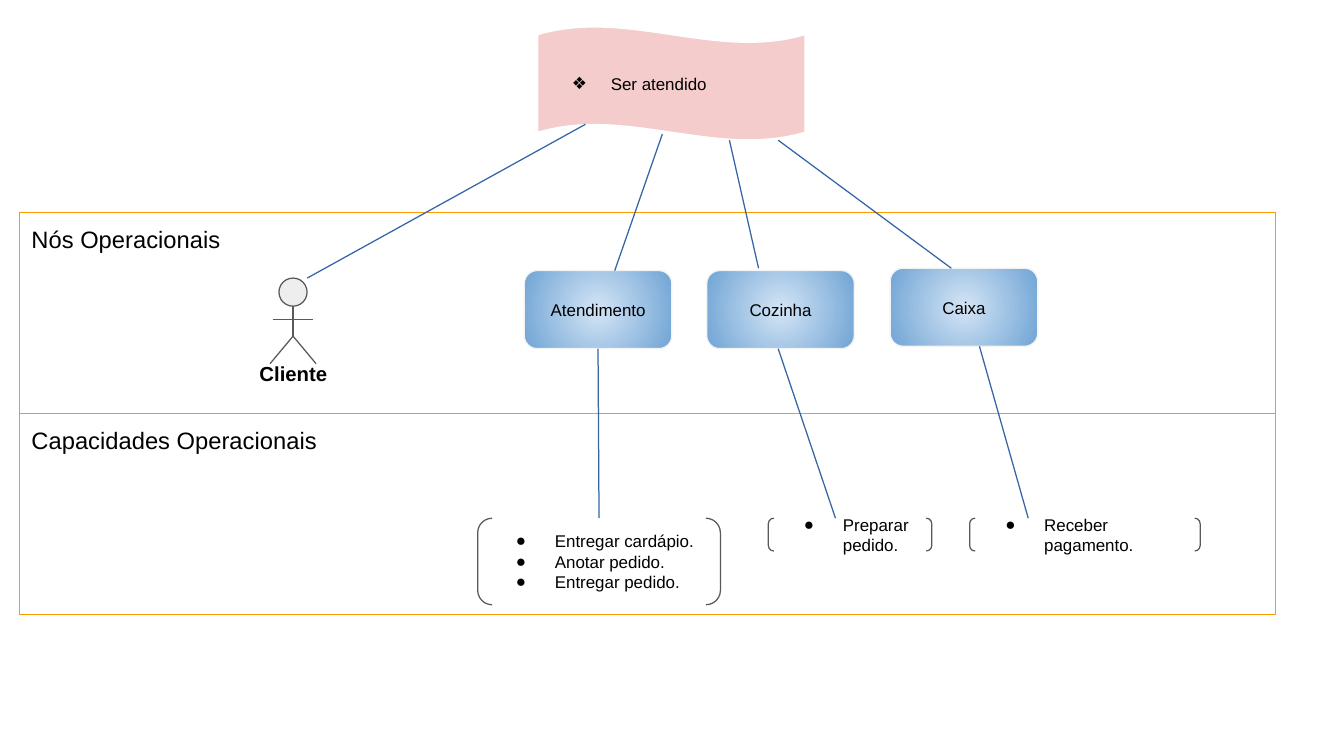
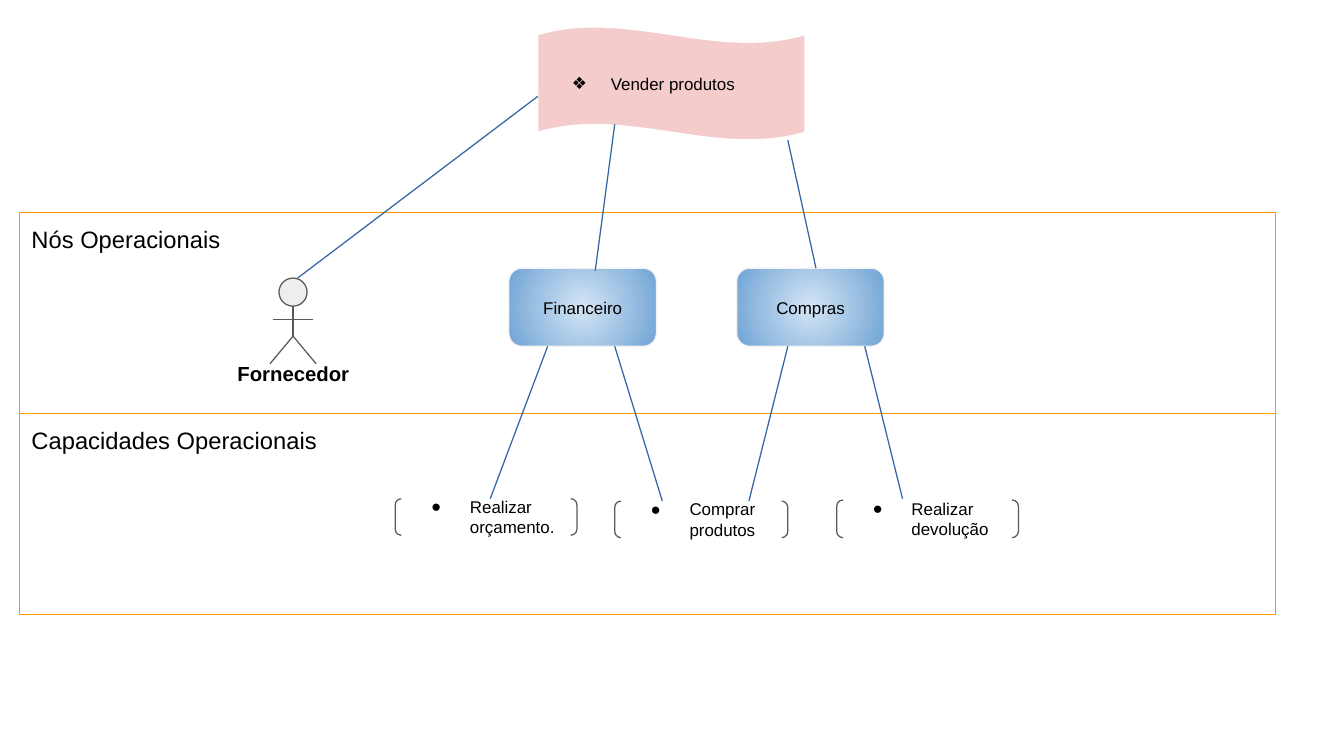
"""Build two operational diagrams linking goals, operational nodes and capabilities."""
from dataclasses import dataclass
from typing import Any, Optional

from lxml.etree import SubElement
from pptx import Presentation
from pptx.dml.color import RGBColor
from pptx.enum.shapes import MSO_CONNECTOR, MSO_SHAPE
from pptx.enum.text import MSO_ANCHOR, PP_ALIGN
from pptx.oxml.ns import qn
from pptx.util import Pt

COLORS = {
    "text": "000000",
    "band": "FF9900",
    "goal": "F4CCCC",
    "goal_line": "FFFFFF",
    "head": "EEEEEE",
    "outline": "595959",
    "node_center": "D4E5F5",
    "node_edge": "70A4D5",
    "node_line": "F3F3F3",
    "link": "3465A4",
}
FONT = "Arial"
SLIDE_WIDTH, SLIDE_HEIGHT = 793.4, 446.4
MARGIN = 7.2
LINE_WIDTH = 0.75
BULLET_LEFT, BULLET_HANG = 36, 23
BAND_LEFT, BAND_TOP, BAND_WIDTH, BAND_HEIGHT = 11.5, 125.3, 741.5, 118.7
BAND_LABELS = ("Nós Operacionais", "Capacidades Operacionais")
NODE_WIDTH, NODE_HEIGHT = 87.1, 46.1
ACTOR_CENTER, ACTOR_TOP, HEAD_SIZE = 173, 164.2, 16.6
CORNER = 0.167
TOP_SITE, BOTTOM_SITE = 0, 2

Point = tuple[float, float]


@dataclass(frozen=True)
class Box:
    left: float
    top: float
    width: float
    height: float


@dataclass(frozen=True)
class Node:
    label: str
    left: float
    top: float = 158.4


@dataclass(frozen=True)
class Capability:
    items: tuple[str, ...]
    box: Box


@dataclass(frozen=True)
class Link:
    start: Point
    end: Point


@dataclass(frozen=True)
class Join:
    node: str
    capability: str


@dataclass(frozen=True)
class Diagram:
    goal: str
    actor: str
    nodes: tuple[Node, ...]
    capabilities: tuple[Capability, ...]
    links: tuple[Link, ...]
    joins: tuple[Join, ...] = ()


DIAGRAMS = (
    Diagram(
        goal="Ser atendido",
        actor="Cliente",
        nodes=(
            Node("Atendimento", 309.5, 159.8),
            Node("Cozinha", 417.2, 159.8),
            Node("Caixa", 525.5),
        ),
        capabilities=(
            Capability(
                ("Entregar cardápio.", "Anotar pedido.", "Entregar pedido."),
                Box(282, 306, 143.3, 51.1),
            ),
            Capability(("Preparar pedido.",), Box(453.6, 306, 96.5, 19.4)),
            Capability(("Receber pagamento.",), Box(572.4, 306, 136.1, 19.4)),
        ),
        links=(
            Link((345.6, 73.4), (181.4, 164.2)),
            Link((391, 79.2), (362.9, 159.8)),
            Link((430.6, 82.8), (447.8, 158.4)),
            Link((459.4, 82.8), (561.6, 158.4)),
            Link((459.4, 205.9), (493.2, 306)),
            Link((578.2, 204.5), (607, 306)),
        ),
        joins=(Join("Atendimento", "Entregar cardápio."),),
    ),
    Diagram(
        goal="Vender produtos",
        actor="Fornecedor",
        nodes=(Node("Financeiro", 300.4), Node("Compras", 434.9)),
        capabilities=(
            Capability(("Realizar orçamento.",), Box(233.3, 294.5, 107.3, 21.6)),
            Capability(("Comprar produtos",), Box(362.9, 295.9, 102.2, 21.6)),
            Capability(("Realizar devolução",), Box(493.9, 295.2, 107.3, 22.3)),
        ),
        links=(
            Link((317.5, 56.9), (175.7, 164.2)),
            Link((362.9, 73.4), (351.4, 159.8)),
            Link((465.1, 82.8), (481.7, 158.4)),
            Link((323.3, 204.5), (289.4, 294.5)),
            Link((362.9, 204.5), (391, 295.9)),
            Link((465.1, 204.5), (442.1, 295.9)),
            Link((510.5, 204.5), (532.8, 294.5)),
        ),
    ),
)


def color(name: str) -> RGBColor:
    return RGBColor.from_string(COLORS[name])


def add_bullet(paragraph: Any, symbol: str) -> None:
    properties = paragraph._p.get_or_add_pPr()
    properties.set("marL", str(Pt(BULLET_LEFT)))
    properties.set("indent", str(-Pt(BULLET_HANG)))
    bullet_color = SubElement(properties, qn("a:buClr"))
    SubElement(bullet_color, qn("a:srgbClr"), val=COLORS["text"])
    SubElement(properties, qn("a:buFont"), typeface=FONT)
    SubElement(properties, qn("a:buChar"), char=symbol)


def write_text(
    shape: Any,
    *lines: str,
    size: float = 10,
    bold: bool = False,
    align: PP_ALIGN = PP_ALIGN.LEFT,
    anchor: MSO_ANCHOR = MSO_ANCHOR.MIDDLE,
    bullet: Optional[str] = None,
) -> None:
    frame = shape.text_frame
    frame.word_wrap = True
    frame.vertical_anchor = anchor
    frame.margin_left = frame.margin_right = Pt(MARGIN)
    frame.margin_top = frame.margin_bottom = Pt(MARGIN)
    for index, line in enumerate(lines):
        paragraph = frame.add_paragraph() if index else frame.paragraphs[0]
        paragraph.alignment = align
        if bullet:
            add_bullet(paragraph, bullet)
        run = paragraph.add_run()
        run.text = line
        run.font.name = FONT
        run.font.size = Pt(size)
        run.font.bold = bold
        run.font.color.rgb = color("text")


def add_box(
    shapes: Any, kind: MSO_SHAPE, box: Box, line: str, fill: Optional[str] = None
) -> Any:
    shape = shapes.add_shape(
        kind, Pt(box.left), Pt(box.top), Pt(box.width), Pt(box.height)
    )
    shape.shadow.inherit = False
    shape.line.color.rgb = color(line)
    shape.line.width = Pt(LINE_WIDTH)
    if fill:
        shape.fill.solid()
        shape.fill.fore_color.rgb = color(fill)
    else:
        shape.fill.background()
    return shape


def add_line(shapes: Any, start: Point, end: Point, line: str = "link") -> Any:
    connector = shapes.add_connector(
        MSO_CONNECTOR.STRAIGHT, *(Pt(value) for value in start + end)
    )
    connector.line.color.rgb = color(line)
    connector.line.width = Pt(LINE_WIDTH)
    SubElement(connector._element.spPr, qn("a:effectLst"))
    return connector


def apply_radial_fill(shape: Any) -> None:
    shape.fill.gradient()
    for stop, name in zip(shape.fill.gradient_stops, ("node_center", "node_edge")):
        stop.color.rgb = color(name)
    gradient = shape._element.spPr.find(qn("a:gradFill"))
    gradient.remove(gradient.find(qn("a:lin")))
    radial = SubElement(gradient, qn("a:path"), path="circle")
    SubElement(radial, qn("a:fillToRect"), l="50000", t="50000", r="50000", b="50000")


def draw_bands(slide: Any) -> None:
    for index, label in enumerate(BAND_LABELS):
        box = Box(BAND_LEFT, BAND_TOP + index * BAND_HEIGHT, BAND_WIDTH, BAND_HEIGHT)
        band = add_box(slide.shapes, MSO_SHAPE.RECTANGLE, box, "band")
        write_text(band, label, size=14, anchor=MSO_ANCHOR.TOP)


def draw_goal(slide: Any, label: str) -> None:
    box = Box(317.5, 15.8, 157.7, 67)
    goal = add_box(slide.shapes, MSO_SHAPE.WAVE, box, "goal_line", "goal")
    goal.adjustments[0] = 0.07
    goal.adjustments[1] = 0
    write_text(goal, label, bullet="❖")


def draw_actor(slide: Any, label: str) -> None:
    shapes = slide.shapes.add_group_shape().shapes
    head = Box(ACTOR_CENTER - HEAD_SIZE / 2, ACTOR_TOP, HEAD_SIZE, HEAD_SIZE)
    add_box(shapes, MSO_SHAPE.FLOWCHART_CONNECTOR, head, "outline", "head")
    neck, arms, hip, feet = ACTOR_TOP + HEAD_SIZE, 188.6, 198.5, 214.8
    limbs = (
        ((ACTOR_CENTER, neck), (ACTOR_CENTER, hip)),
        ((ACTOR_CENTER - 12, arms), (ACTOR_CENTER + 12, arms)),
        ((ACTOR_CENTER, hip), (ACTOR_CENTER - 13.6, feet)),
        ((ACTOR_CENTER, hip), (ACTOR_CENTER + 13.6, feet)),
    )
    for start, end in limbs:
        add_line(shapes, start, end, "outline")
    caption = shapes.add_textbox(Pt(128.9), Pt(205.9), Pt(88.6), Pt(29.5))
    write_text(
        caption, label, size=12, bold=True,
        align=PP_ALIGN.CENTER, anchor=MSO_ANCHOR.TOP,
    )


def draw_node(slide: Any, node: Node) -> Any:
    box = Box(node.left, node.top, NODE_WIDTH, NODE_HEIGHT)
    shape = add_box(slide.shapes, MSO_SHAPE.ROUNDED_RECTANGLE, box, "node_line")
    shape.adjustments[0] = CORNER
    apply_radial_fill(shape)
    write_text(shape, node.label, align=PP_ALIGN.CENTER)
    return shape


def draw_capability(slide: Any, capability: Capability) -> Any:
    shape = add_box(slide.shapes, MSO_SHAPE.DOUBLE_BRACKET, capability.box, "outline")
    shape.adjustments[0] = CORNER
    write_text(shape, *capability.items, bullet="●")
    return shape


def draw_diagram(presentation: Any, diagram: Diagram) -> None:
    slide = presentation.slides.add_slide(presentation.slide_layouts[6])
    draw_bands(slide)
    draw_goal(slide, diagram.goal)
    draw_actor(slide, diagram.actor)
    nodes = {node.label: draw_node(slide, node) for node in diagram.nodes}
    capabilities = {
        item.items[0]: draw_capability(slide, item) for item in diagram.capabilities
    }
    for link in diagram.links:
        add_line(slide.shapes, link.start, link.end)
    for join in diagram.joins:
        connector = add_line(slide.shapes, (0, 0), (0, 0))
        connector.begin_connect(nodes[join.node], BOTTOM_SITE)
        connector.end_connect(capabilities[join.capability], TOP_SITE)


def main() -> None:
    presentation = Presentation()
    presentation.slide_width = Pt(SLIDE_WIDTH)
    presentation.slide_height = Pt(SLIDE_HEIGHT)
    for diagram in DIAGRAMS:
        draw_diagram(presentation, diagram)
    presentation.save("out.pptx")


if __name__ == "__main__":
    main()
